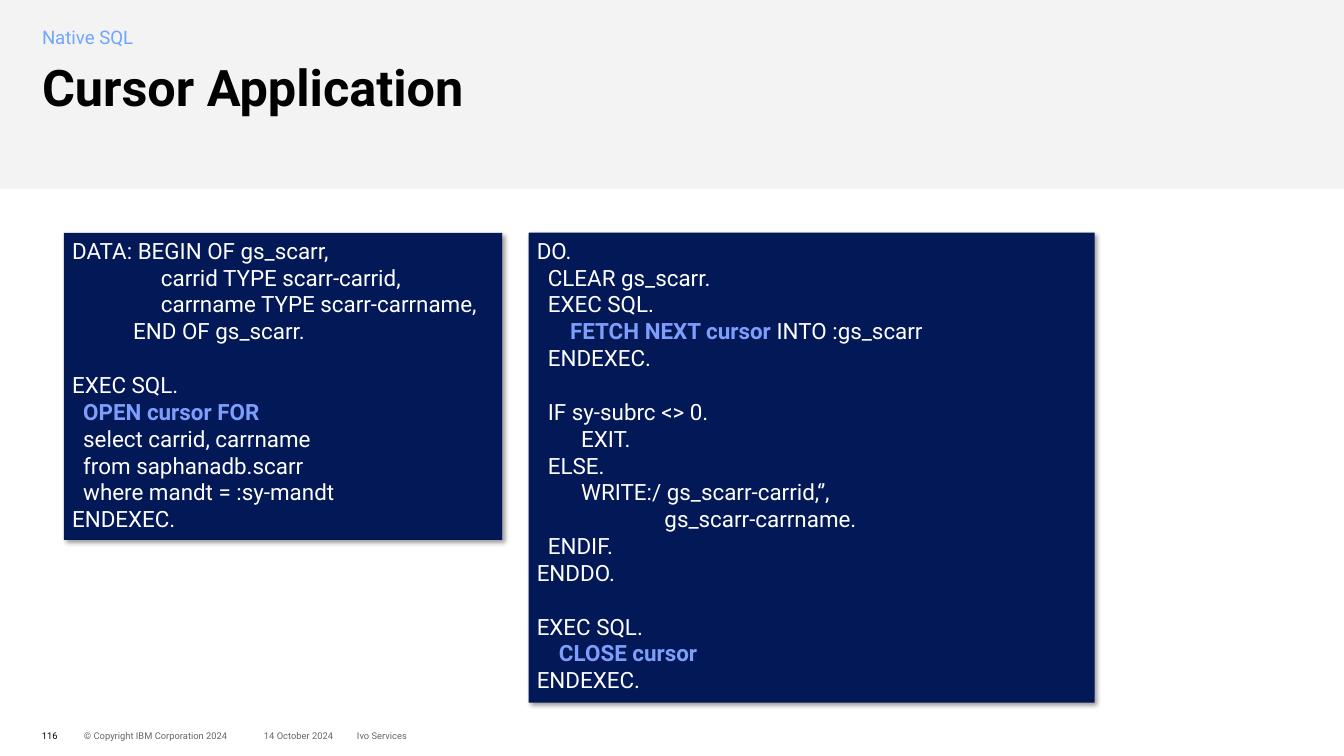
from lxml import etree
from pptx import Presentation
from pptx.dml.color import RGBColor
from pptx.enum.shapes import MSO_SHAPE as Shape
from pptx.enum.text import MSO_ANCHOR as Anchor, MSO_AUTO_SIZE as Fit, PP_ALIGN as Align
from pptx.oxml.ns import qn
from pptx.util import Pt

PX = 9525  # EMU per px, 96 px to the inch
FONT = "Roboto"
BLACK, WHITE, GREY = "000000", "FFFFFF", "666666"
NAVY, BAND, SKY, KEY = "031856", "F3F3F3", "6EA6FF", "7E9EFB"

OPEN = """\
DATA: BEGIN OF gs_scarr,
                carrid TYPE scarr-carrid,
                carrname TYPE scarr-carrname,
           END OF gs_scarr.

EXEC SQL.
  *OPEN cursor FOR*
  select carrid, carrname
  from saphanadb.scarr
  where mandt = :sy-mandt
ENDEXEC."""

FETCH = """\
DO.
  CLEAR gs_scarr.
  EXEC SQL.
      *FETCH NEXT cursor *INTO :gs_scarr
  ENDEXEC.

  IF sy-subrc <> 0.
        EXIT.
  ELSE.
        WRITE:/ gs_scarr-carrid,‘’,
                       gs_scarr-carrname.
  ENDIF.
ENDDO.

EXEC SQL.
    *CLOSE cursor*
ENDEXEC."""


def color(code):
    return RGBColor.from_string(code)


def scale(box):
    return [n * PX for n in box]


def apply(target, **values):
    for name, value in values.items():
        setattr(target, name, value)


def style(font, size, code, bold=False):
    apply(font, name=FONT, size=Pt(size), bold=bold)
    font.color.rgb = color(code)


def fill_text(shape, text, size, code, bold=False, anchor=Anchor.TOP, align=Align.LEFT, space=1.0):
    """Put one line of text in a shape that has no insets."""
    frame = shape.text_frame
    apply(frame, margin_left=0, margin_top=0, margin_right=0, margin_bottom=0,
          word_wrap=True, auto_size=Fit.NONE, vertical_anchor=anchor)
    para = frame.paragraphs[0]
    apply(para, alignment=align, line_spacing=space, space_before=Pt(0))
    run = para.add_run()
    run.text = text
    style(run.font, size, code, bold)


def add_label(slide, box, text, size, code, **opts):
    fill_text(slide.shapes.add_textbox(*scale(box)), text, size, code, **opts)


def add_rect(slide, box, code):
    rect = slide.shapes.add_shape(Shape.RECTANGLE, *scale(box))
    rect.shadow.inherit = False
    rect.fill.solid()
    rect.fill.fore_color.rgb = color(code)
    rect.line.fill.background()
    return rect


def add_shadow(shape):
    effects = shape.element.spPr.find(qn("a:effectLst"))
    outer = etree.SubElement(effects, qn("a:outerShdw"), blurRad=str(Pt(4)), dist=str(Pt(3)),
                             dir="2700000", algn="tl", rotWithShape="0")
    tint = etree.SubElement(outer, qn("a:srgbClr"), val=BLACK)
    etree.SubElement(tint, qn("a:alpha"), val="40000")


def add_code(slide, box, code):
    """Draw a code panel; stars enclose key words, an empty line is a gap."""
    rect = add_rect(slide, box, NAVY)
    add_shadow(rect)
    frame = rect.text_frame
    apply(frame, word_wrap=True, auto_size=Fit.SHAPE_TO_FIT_TEXT, vertical_anchor=Anchor.TOP)
    para, gap = frame.paragraphs[0], 0
    for i, line in enumerate(code.splitlines()):
        if not line:
            gap = 23
            continue
        if i:
            para = frame.add_paragraph()
        apply(para, alignment=Align.LEFT, space_before=Pt(gap))
        gap = 0
        for j, part in enumerate(line.split("*")):
            if part:
                run = para.add_run()
                run.text = part
                style(run.font, 19.2, KEY if j % 2 else WHITE, j % 2 == 1)


def add_title(slide, box, text):
    title = slide.shapes.title
    left, top, width, height = scale(box)
    apply(title, left=left, top=top, width=width, height=height)
    fill_text(title, text, 43.2, BLACK, bold=True, space=0.9)


def main():
    deck = Presentation()
    apply(deck, slide_width=1536 * PX, slide_height=864 * PX)
    slide = deck.slides.add_slide(deck.slide_layouts[5])

    band = add_rect(slide, (0, 0, 1536, 216), BAND)
    slide.shapes.title.element.addprevious(band.element)
    add_label(slide, (48, 28, 691, 29), "Native SQL", 16, SKY, space=1.05)
    add_title(slide, (48, 72, 1440, 120), "Cursor Application")

    add_code(slide, (73, 266, 501, 351), OPEN)
    add_code(slide, (604, 266, 647, 537), FETCH)

    for left, width, text, code, align in (
        (48, 35, "116", BLACK, Align.LEFT),
        (96, 240, "© Copyright IBM Corporation 2024", GREY, Align.LEFT),
        (237, 144, "14 October 2024", GREY, Align.RIGHT),
        (408, 240, "Ivo Services", GREY, Align.LEFT),
    ):
        add_label(slide, (left, 829, width, 23), text, 8, code, anchor=Anchor.MIDDLE, align=align)

    deck.save("out.pptx")


if __name__ == "__main__":
    main()
